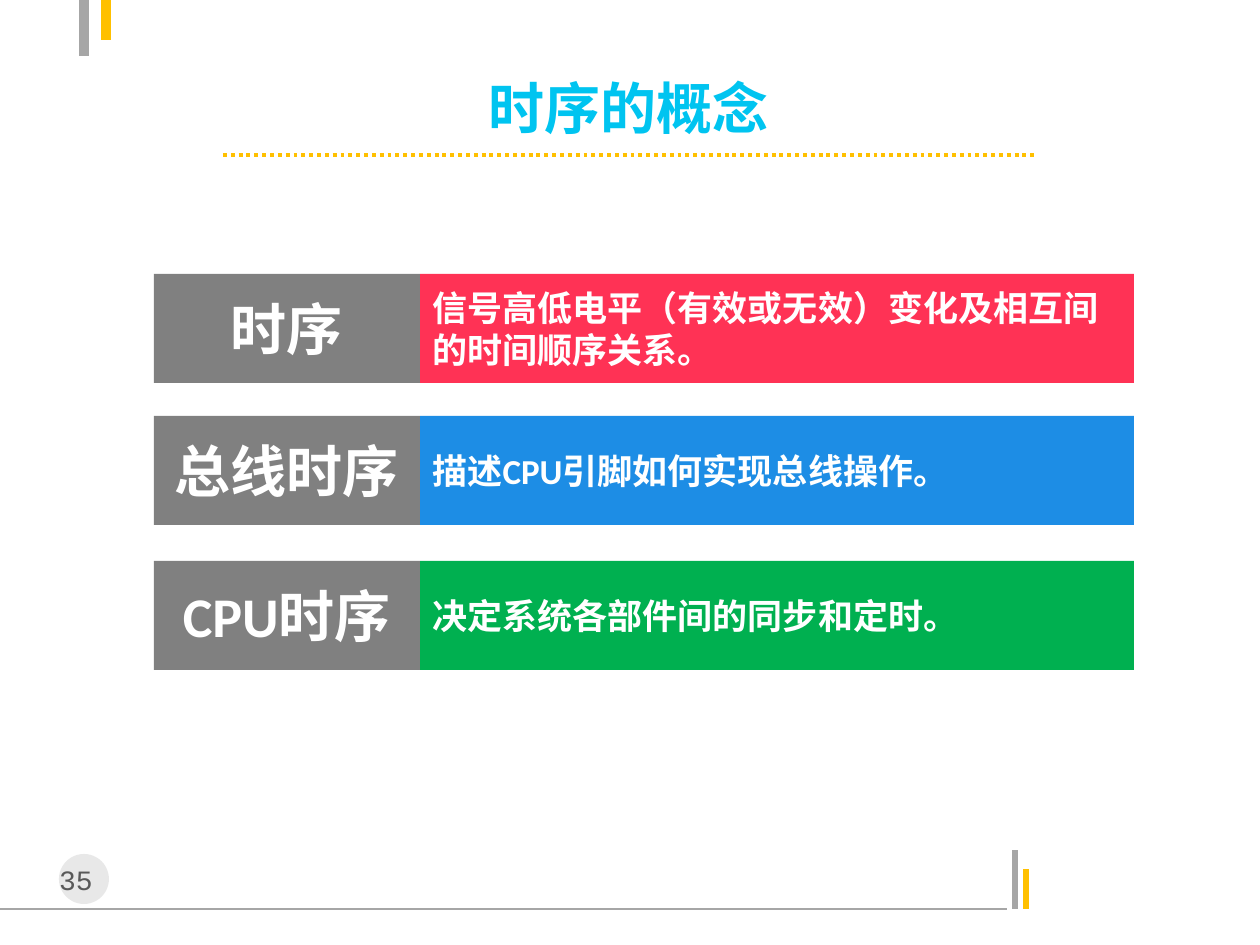
"""Build the slide that defines signal, bus and CPU timing."""
from lxml import etree
from pptx import Presentation
from pptx import util as u
from pptx.dml.color import RGBColor
from pptx.enum import dml, shapes, text
from pptx.oxml.ns import qn

COLORS = {
    "gray": "A6A6A6", "gold": "FFC000", "disc": "BFBFBF", "number": "595959",
    "title": "00C4F0", "label": "808080", "white": "FFFFFF",
    "red": "FF3255", "blue": "1D8DE5", "green": "00B050",
}
CJK = "Noto Sans CJK SC"


def px(*lengths):
    return [u.Emu(round(n * 914400 / 126)) for n in lengths]


def write(shape, words, size, font, color, align, bold=True):
    frame = shape.text_frame
    frame.vertical_anchor = text.MSO_ANCHOR.MIDDLE
    frame.paragraphs[0].alignment = align
    run = frame.paragraphs[0].add_run()
    run.text = words
    run.font.size = u.Pt(size)
    run.font.bold = bold
    run.font.name = font
    run.font.color.rgb = RGBColor.from_string(COLORS[color])
    etree.SubElement(run.font._element, qn("a:ea")).set("typeface", CJK)


deck = Presentation()
deck.slide_width, deck.slide_height = px(1260, 945)
slide = deck.slides.add_slide(deck.slide_layouts[6])
center, left = text.PP_ALIGN.CENTER, text.PP_ALIGN.LEFT

rules = [
    ((0, 909, 1007, 909), "gray", 0.75, None),
    ((1015, 909, 1015, 850), "gray", 3, None),
    ((1026, 909, 1026, 869), "gold", 3, None),
    ((84, 56, 84, 0), "gray", 6, None),
    ((106, 0, 106, 40), "gold", 6, None),
    ((223, 155, 1035, 155), "gold", 2.25, dml.MSO_LINE.ROUND_DOT),
]
for ends, color, width, dash in rules:
    rule = slide.shapes.add_connector(shapes.MSO_CONNECTOR.STRAIGHT, *px(*ends))
    rule.line.color.rgb = RGBColor.from_string(COLORS[color])
    rule.line.width = u.Pt(width)
    if dash:
        rule.line.dash_style = dash
    etree.SubElement(rule._element.spPr, qn("a:effectLst"))

disc = slide.shapes.add_shape(shapes.MSO_SHAPE.OVAL, *px(59, 854, 50, 50))
disc.shadow.inherit = False
disc.fill.solid()
disc.fill.fore_color.rgb = RGBColor.from_string(COLORS["disc"])
disc.line.fill.background()
disc_color = disc._element.spPr.find(qn("a:solidFill"))[0]
etree.SubElement(disc_color, qn("a:alpha")).set("val", "35000")

page_number = slide.shapes.add_textbox(*px(31, 856, 90, 47))
page_number.text_frame.word_wrap = True
write(page_number, "35", 16, "Courier New", "number", center, bold=False)

title = slide.shapes.add_textbox(*px(340, 76, 578, 63))
title.text_frame.word_wrap = False
write(title, "时序的概念", 32, CJK, "title", center)

concepts = [
    (274, "时序", "信号高低电平（有效或无效）变化及相互间的时间顺序关系。", "red"),
    (416, "总线时序", "描述CPU引脚如何实现总线操作。", "blue"),
    (561, "CPU时序", "决定系统各部件间的同步和定时。", "green"),
]
for top, term, meaning, color in concepts:
    cells = [
        (154, 266, term, 32, "label", center),
        (420, 714, meaning, 20, color, left),
    ]
    for x, width, words, size, fill, align in cells:
        bar = slide.shapes.add_shape(
            shapes.MSO_SHAPE.RECTANGLE, *px(x, top, width, 109))
        bar.shadow.inherit = False
        bar.fill.solid()
        bar.fill.fore_color.rgb = RGBColor.from_string(COLORS[fill])
        bar.line.fill.background()
        bar.text_frame.word_wrap = True
        write(bar, words, size, "Calibri", "white", align)

deck.save("out.pptx")
